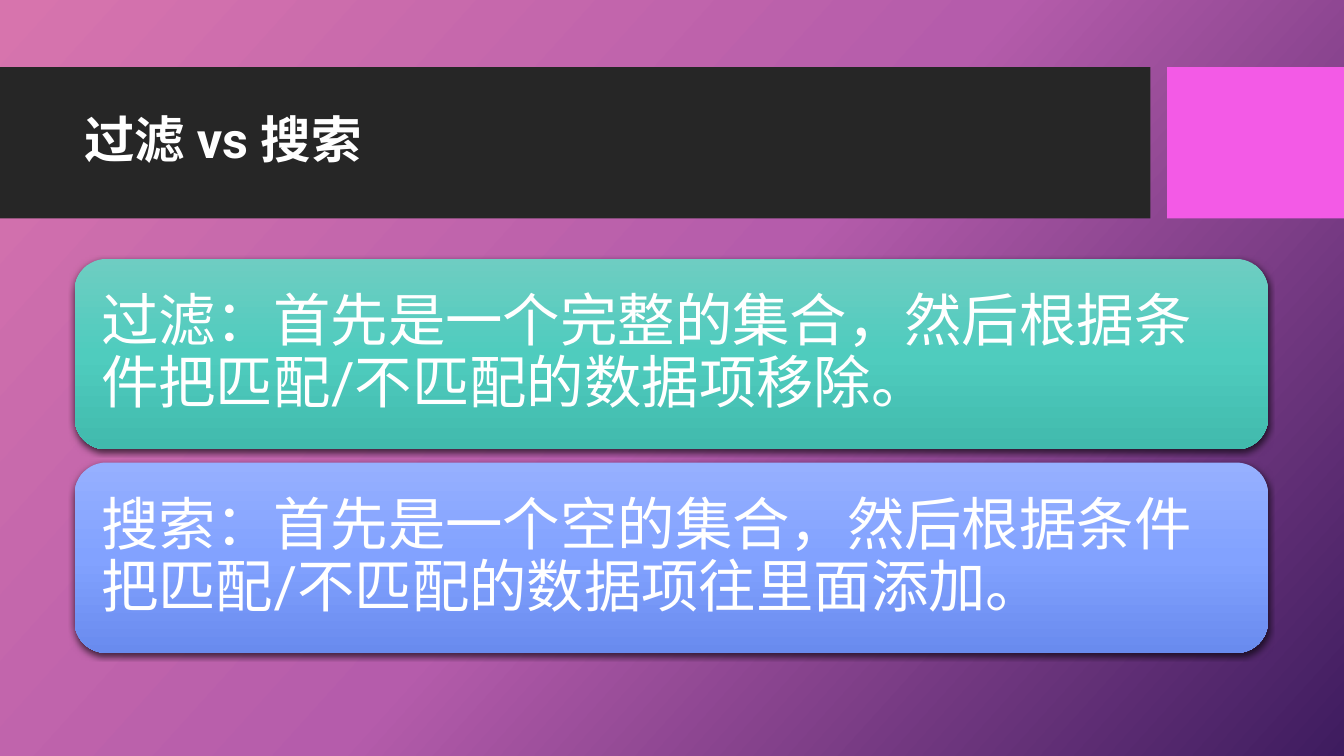
from lxml import etree
from pptx import Presentation
from pptx.dml.color import RGBColor
from pptx.enum.shapes import MSO_SHAPE
from pptx.enum.text import MSO_ANCHOR, PP_ALIGN
from pptx.oxml.ns import qn
from pptx.util import Pt

RECT = MSO_SHAPE.RECTANGLE
ROUNDED = MSO_SHAPE.ROUNDED_RECTANGLE
MIDDLE = MSO_ANCHOR.MIDDLE
LEFT = PP_ALIGN.LEFT
FONT = "Roboto"

COLORS = {
    "band": "262626",
    "accent": "F35AE6",
    "text": "FFFFFF",
    "shadow": "000000",
}
GRADIENTS = {
    "page": ["D774AD", "B55CAB", "3E1C5F"],
    "filter": ["6ECDC2", "4FCCBE", "41BAAD"],
    "search": ["96B0FF", "82A2FF", "698BEE"],
}
CARDS = [
    ("filter", "过滤：首先是一个完整的集合，然后根据条件把匹配/不匹配的数据项移除。"),
    ("search", "搜索：首先是一个空的集合，然后根据条件把匹配/不匹配的数据项往里面添加。"),
]
CARD_LEFT, CARD_TOP, CARD_WIDTH, CARD_HEIGHT = 53.3, 185, 852.5, 136
CARD_STEP = 145.4
CARD_PAD = 6.7


def set_gradient(fill, colors, clockwise_angle):
    fill.gradient()
    fill.gradient_angle = 360 - clockwise_angle
    stops = fill._fill._gradFill.find(qn("a:gsLst"))
    for stop in list(stops):
        stops.remove(stop)
    for index, color in enumerate(colors):
        position = index * 100000 // (len(colors) - 1)
        stop = etree.SubElement(stops, qn("a:gs"), pos=str(position))
        etree.SubElement(stop, qn("a:srgbClr"), val=color)


def add_shadow(shape, blur, distance, opacity):
    effects = shape._element.spPr.find(qn("a:effectLst"))
    shadow = etree.SubElement(
        effects, qn("a:outerShdw"), blurRad=str(Pt(blur)), dist=str(Pt(distance)),
        dir="5400000", algn="ctr", rotWithShape="0")
    color = etree.SubElement(shadow, qn("a:srgbClr"), val=COLORS["shadow"])
    etree.SubElement(color, qn("a:alpha"), val=str(opacity * 1000))


def add_plain_shape(page, kind, left, top, width, height):
    shape = page.shapes.add_shape(kind, Pt(left), Pt(top), Pt(width), Pt(height))
    shape.shadow.inherit = False
    shape.line.fill.background()
    return shape


def add_band(page, left, width, color):
    band = add_plain_shape(page, RECT, left, 48, width, 108)
    band.fill.solid()
    band.fill.fore_color.rgb = RGBColor.from_string(COLORS[color])


def add_text(page, left, top, width, height, text, size, bold=False):
    box = page.shapes.add_textbox(Pt(left), Pt(top), Pt(width), Pt(height))
    frame = box.text_frame
    frame.word_wrap = True
    frame.vertical_anchor = MIDDLE
    para = frame.paragraphs[0]
    para.alignment = LEFT
    para.line_spacing = 0.9
    span = para.add_run()
    span.text = text
    span.font.name = FONT
    span.font.size = Pt(size)
    span.font.bold = bold
    span.font.color.rgb = RGBColor.from_string(COLORS["text"])
    return frame


def add_card(page, top, gradient, text):
    card = add_plain_shape(page, ROUNDED, CARD_LEFT, top, CARD_WIDTH, CARD_HEIGHT)
    set_gradient(card.fill, GRADIENTS[gradient], 90)
    add_shadow(card, 4.5, 1.5, 63)
    frame = add_text(page, CARD_LEFT + CARD_PAD, top + CARD_PAD,
                     CARD_WIDTH - 2 * CARD_PAD, CARD_HEIGHT - 2 * CARD_PAD, text, 41)
    frame.margin_left = frame.margin_right = Pt(12.3)
    frame.margin_top = frame.margin_bottom = Pt(12.3)
    frame.paragraphs[0].space_after = Pt(14)


def main():
    deck = Presentation()
    deck.slide_width, deck.slide_height = Pt(960), Pt(540)
    page = deck.slides.add_slide(deck.slide_layouts[6])
    set_gradient(page.background.fill, GRADIENTS["page"], 42)
    add_band(page, 0, 821.8, "band")
    add_band(page, 833.6, 126.4, "accent")
    add_text(page, 53.3, 59, 756.7, 85, "过滤 vs 搜索", 36, bold=True)
    for index, (gradient, text) in enumerate(CARDS):
        add_card(page, CARD_TOP + index * CARD_STEP, gradient, text)
    deck.save("out.pptx")


if __name__ == "__main__":
    main()
